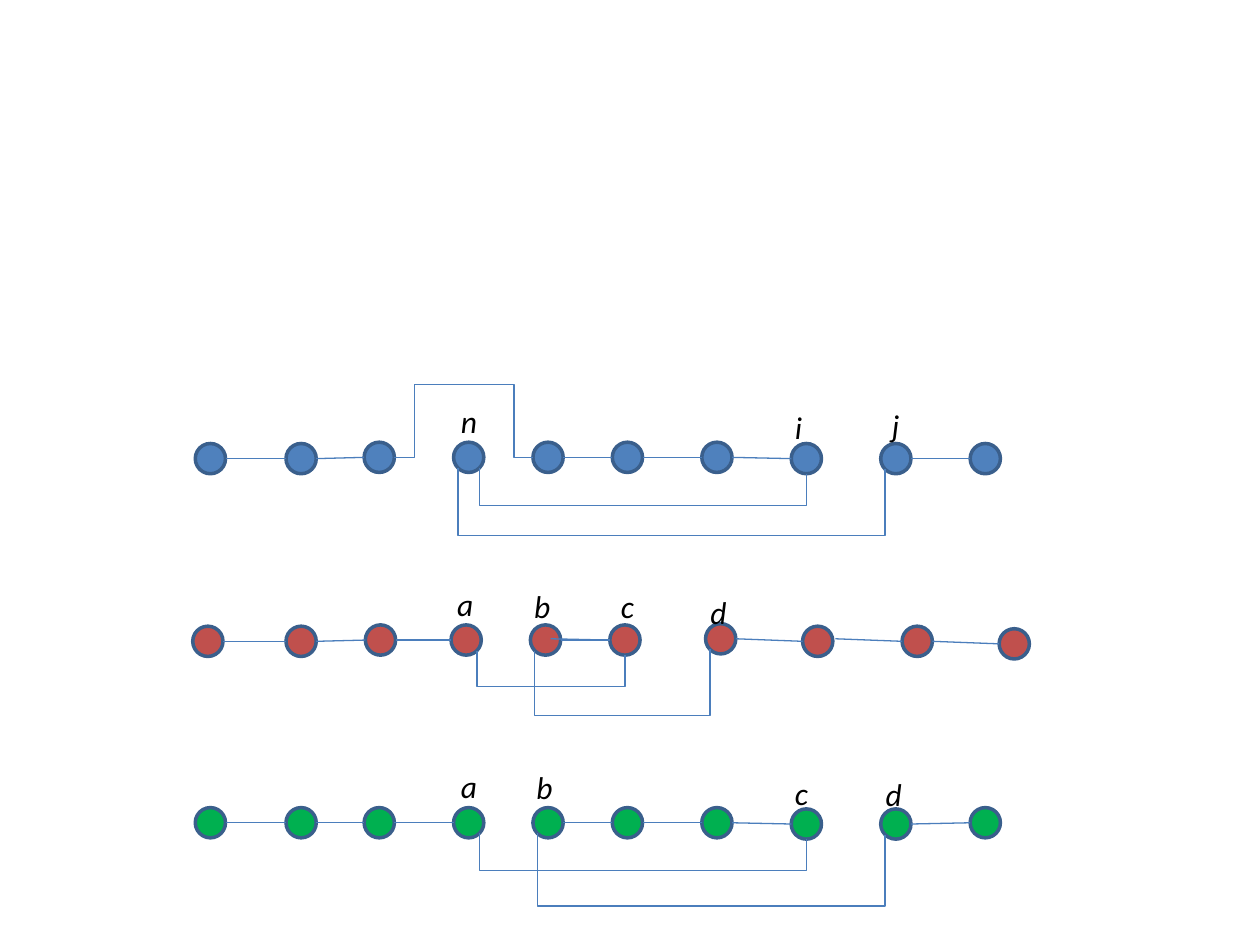
"""Build a slide of three node chains with rewired links."""
import math
from dataclasses import dataclass

from lxml import etree
from pptx import Presentation
from pptx.dml.color import RGBColor
from pptx.enum.shapes import MSO_CONNECTOR, MSO_SHAPE
from pptx.enum.text import MSO_AUTO_SIZE
from pptx.oxml.ns import qn
from pptx.util import Inches, Pt

STRAIGHT, ELBOW = MSO_CONNECTOR.STRAIGHT, MSO_CONNECTOR.ELBOW
ELLIPSE = MSO_SHAPE.OVAL
GROW = MSO_AUTO_SIZE.SHAPE_TO_FIT_TEXT
LEFT, BOTTOM_LEFT, BOTTOM, BOTTOM_RIGHT, RIGHT = 2, 3, 4, 5, 6
DIAMETER = 0.24


@dataclass(frozen=True)
class Theme:
    """Colours, font and sizes of the slide."""
    blue: str = "4F81BD"
    red: str = "C0504D"
    green: str = "00B050"
    outline: str = "3A5F8C"
    link: str = "4B7EBC"
    ink: str = "000000"
    font: str = "Calibri"
    label_size: float = 18
    outline_width: float = 2
    link_width: float = 0.75


class ChainSlide:
    """Draws nodes, links and labels on the current slide."""

    def __init__(self, slide, theme):
        self.shapes = slide.shapes
        self.theme = theme

    def node(self, left, top, colour):
        """Add one round node."""
        size = Inches(DIAMETER)
        node = self.shapes.add_shape(ELLIPSE, Inches(left), Inches(top), size, size)
        node.shadow.inherit = False
        node.fill.solid()
        node.fill.fore_color.rgb = RGBColor.from_string(colour)
        node.line.color.rgb = RGBColor.from_string(self.theme.outline)
        node.line.width = Pt(self.theme.outline_width)
        return node

    def label(self, text, left, top):
        """Add one italic letter."""
        box = self.shapes.add_textbox(Inches(left), Inches(top), Inches(0.2), Inches(0.4))
        frame = box.text_frame
        frame.word_wrap = True
        frame.auto_size = GROW
        span = frame.paragraphs[0].add_run()
        span.text = text
        span.font.name = self.theme.font
        span.font.size = Pt(self.theme.label_size)
        span.font.italic = True
        span.font.color.rgb = RGBColor.from_string(self.theme.ink)

    def line(self, start, end, kind=STRAIGHT):
        """Add a connector between two points in inches."""
        points = [Inches(value) for value in (*start, *end)]
        line = self.shapes.add_connector(kind, *points)
        line.line.color.rgb = RGBColor.from_string(self.theme.link)
        line.line.width = Pt(self.theme.link_width)
        etree.SubElement(line._element.spPr, qn("a:effectLst"))
        return line

    def site(self, node, index):
        """Return the point of a numbered connection site of a node."""
        angle = math.radians(45 * index)
        radius = DIAMETER / 2
        return (node.left.inches + radius - radius * math.sin(angle),
                node.top.inches + radius - radius * math.cos(angle))

    def glue(self, line, tag, node, index):
        """Join a connector end to a connection site."""
        holder = line._element.find(".//" + qn("p:cNvCxnSpPr"))
        etree.SubElement(holder, qn(tag), id=str(node.shape_id), idx=str(index))

    def link(self, first, second):
        """Join neighbouring nodes side to side."""
        line = self.line(self.site(first, RIGHT), self.site(second, LEFT))
        self.glue(line, "a:stCxn", first, RIGHT)
        self.glue(line, "a:endCxn", second, LEFT)

    def bend(self, line, share):
        """Set where an elbow connector turns."""
        guides = line._element.find(".//" + qn("a:avLst"))
        etree.SubElement(guides, qn("a:gd"), name="adj1", fmla=f"val {round(share * 100000)}")

    def bracket(self, right, right_site, left, left_site, floor):
        """Join two nodes by an elbow that runs below them."""
        start_x, start_y = self.site(right, right_site)
        end_x, end_y = self.site(left, left_site)
        middle_x, middle_y = (start_x + end_x) / 2, (start_y + end_y) / 2
        rise, reach = (end_y - start_y) / 2, (start_x - end_x) / 2
        line = self.line((middle_x - rise, middle_y - reach),
                         (middle_x + rise, middle_y + reach), ELBOW)
        line._element.spPr.find(qn("a:xfrm")).set("rot", str(90 * 60000))
        self.bend(line, (floor - start_y) / (end_y - start_y))
        self.glue(line, "a:stCxn", right, right_site)
        self.glue(line, "a:endCxn", left, left_site)

    def detour(self, first, second, corner, share):
        """Join two nodes by a path that passes over a corner."""
        climb = self.line(self.site(first, RIGHT), corner, ELBOW)
        climb._element.find(".//" + qn("a:prstGeom")).set("prst", "bentConnector2")
        self.glue(climb, "a:stCxn", first, RIGHT)
        descent = self.line(corner, self.site(second, LEFT), ELBOW)
        self.bend(descent, share)
        self.glue(descent, "a:endCxn", second, LEFT)

    def chain(self, lefts, tops, colour, linked, labels):
        """Draw a row of nodes, its side links and its letters."""
        nodes = [self.node(left, top, colour) for left, top in zip(lefts, tops)]
        for index in linked:
            self.link(nodes[index], nodes[index + 1])
        for label in labels:
            self.label(*label)
        return nodes


def main():
    """Build and save the deck."""
    deck = Presentation()
    deck.slide_width, deck.slide_height = Inches(10), Inches(7.5)
    theme = Theme()
    page = ChainSlide(deck.slides.add_slide(deck.slide_layouts[6]), theme)
    lefts = [1.55, 2.27, 2.89, 3.6, 4.23, 4.86, 5.57, 6.28, 6.99, 7.7]

    blue = page.chain(lefts, [3.52] * 2 + [3.51] * 5 + [3.52] * 3, theme.blue,
                      [0, 1, 4, 5, 6, 8],
                      [("n", 3.56, 3.14), ("i", 6.21, 3.19), ("j", 6.98, 3.17)])
    page.detour(blue[2], blue[4], (3.29, 3.05), 0.84)
    page.bracket(blue[7], BOTTOM, blue[3], BOTTOM_RIGHT, 4.01)
    page.bracket(blue[8], BOTTOM_LEFT, blue[3], BOTTOM_LEFT, 4.26)

    green = page.chain(lefts, [6.41] * 7 + [6.42] * 2 + [6.41], theme.green,
                       [0, 1, 2, 4, 5, 6, 8],
                       [("a", 3.56, 6.04), ("b", 4.16, 6.05),
                        ("c", 6.21, 6.09), ("d", 6.93, 6.1)])
    page.bracket(green[7], BOTTOM, green[3], BOTTOM_RIGHT, 6.91)
    page.bracket(green[8], BOTTOM_LEFT, green[4], BOTTOM_LEFT, 7.2)

    red = page.chain([1.53, 2.27, 2.9, 3.58, 4.21, 4.84, 5.6, 6.37, 7.16, 7.93],
                     [4.97] * 2 + [4.96] * 4 + [4.95] + [4.97] * 2 + [4.99], theme.red,
                     [0, 1, 2, 4, 6, 8],
                     [("a", 3.53, 4.59), ("b", 4.14, 4.61),
                      ("c", 4.83, 4.61), ("d", 5.54, 4.66)])
    page.line((4.37, 5.07), (4.84, 5.08))
    page.line((6.63, 5.07), (7.16, 5.09))
    page.bracket(red[5], BOTTOM, red[3], BOTTOM_RIGHT, 5.45)
    page.bracket(red[6], BOTTOM_LEFT, red[4], BOTTOM_LEFT, 5.69)

    deck.save("out.pptx")


if __name__ == "__main__":
    main()
